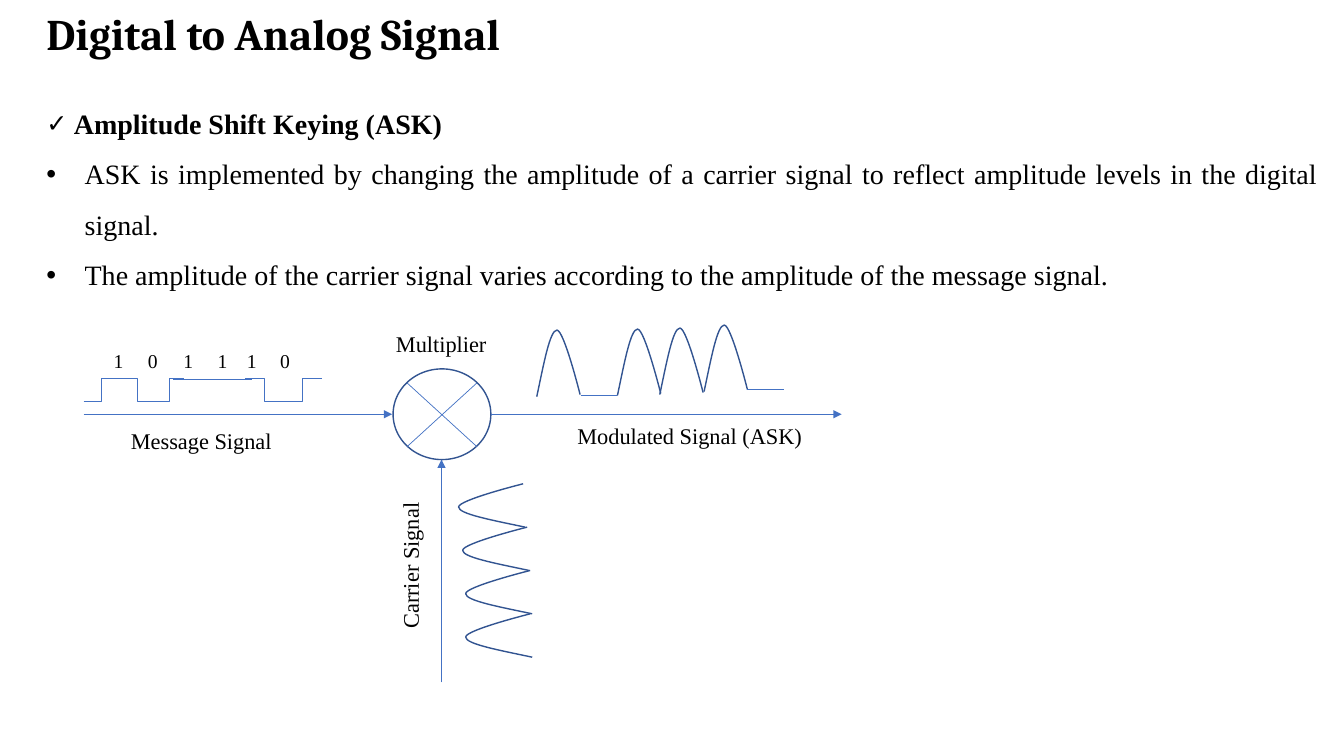
from pptx import Presentation
from pptx.dml.color import RGBColor
from pptx.enum.shapes import MSO_CONNECTOR as CXN, MSO_SHAPE as SHAPE
from pptx.enum.text import MSO_ANCHOR as ANCHOR, MSO_AUTO_SIZE as FIT, PP_ALIGN as ALIGN
from pptx.oxml.ns import qn
from pptx.oxml.xmlchemy import OxmlElement
from pptx.util import Inches, Pt

COLORS = {"text": "000000", "wire": "4472C4", "wave": "325491", "paper": "FFFFFF"}
HUMP_SIZE = (0.66, 0.43)
HUMP = [(0.66, 0.43), (0.33, 0.36), (0, 0.3), (0, 0.23),
        (0, 0.16), (0.64, 0), (0.64, 0)]


class SlideBuilder:
    font = "Times New Roman"
    title_font = "Cambria"

    def __init__(self, prs):
        self.s = prs.slides.add_slide(prs.slide_layouts[1])

    def color(self, name):
        return RGBColor.from_string(COLORS[name])

    def place(self, sp, x, y, w, h):
        sp.left, sp.top, sp.width, sp.height = (Inches(v) for v in (x, y, w, h))

    def run(self, p, text, size, bold=False, font=None):
        r = p.add_run()
        r.text = text
        r.font.size, r.font.bold = Pt(size), bold
        r.font.name = font or self.font
        r.font.color.rgb = self.color("text")

    def outline(self, sp, color, width):
        sp.line.color.rgb = self.color(color)
        sp.line.width = Pt(width)

    def title(self, text, box):
        sp = self.s.shapes.title
        self.place(sp, *box)
        tf = sp.text_frame
        tf.auto_size, tf.vertical_anchor = FIT.NONE, ANCHOR.MIDDLE
        p = tf.paragraphs[0]
        p.alignment, p.line_spacing = ALIGN.LEFT, 0.9
        self.run(p, text, 31.2, True, self.title_font)

    def body(self, items, box):
        sp = self.s.placeholders[1]
        self.place(sp, *box)
        tf = sp.text_frame
        tf.auto_size, tf.vertical_anchor = FIT.NONE, ANCHOR.TOP
        for i, (bullet, indent, runs) in enumerate(items):
            p = tf.add_paragraph() if i else tf.paragraphs[0]
            p.alignment, p.line_spacing = ALIGN.JUSTIFY, 1.5
            p.space_before = Pt(0)
            pPr = p._p.get_or_add_pPr()
            pPr.set("marL", str(Inches(indent)))
            pPr.set("indent", str(-Inches(indent)))
            bu = OxmlElement("a:buChar")
            bu.set("char", bullet)
            pPr.append(bu)
            for text, size, bold in runs:
                self.run(p, text, size, bold)

    def label(self, text, box, size=16, rotation=0):
        sp = self.s.shapes.add_textbox(*(Inches(v) for v in box))
        sp.rotation = rotation
        sp.text_frame.word_wrap = True
        self.run(sp.text_frame.paragraphs[0], text, size)

    def wire(self, start, end, kind=CXN.STRAIGHT, arrow=False):
        c = self.s.shapes.add_connector(kind, *(Inches(v) for v in start + end))
        self.outline(c, "wire", 0.5)
        spPr = c._element.spPr
        if arrow:
            tail = OxmlElement("a:tailEnd")
            tail.set("type", "triangle")
            spPr.find(qn("a:ln")).append(tail)
        spPr.append(OxmlElement("a:effectLst"))

    def ellipse(self, box):
        sp = self.s.shapes.add_shape(SHAPE.OVAL, *(Inches(v) for v in box))
        sp.shadow.inherit = False
        sp.fill.solid()
        sp.fill.fore_color.rgb = self.color("paper")
        self.outline(sp, "wave", 1)

    def hump(self, x, y, rotation=0):
        pts = [(Inches(a), Inches(b)) for a, b in HUMP]
        fb = self.s.shapes.build_freeform(*pts[0])
        fb.add_line_segments(pts[1:], close=False)
        sp = fb.convert_to_shape()
        self.place(sp, x, y, *HUMP_SIZE)
        sp.rotation = rotation
        sp.shadow.inherit = False
        sp.fill.background()
        self.outline(sp, "wave", 1)
        lines = list(sp._element.iter(qn("a:lnTo")))
        outline = lines[0].getparent()
        for i in range(0, len(lines), 3):
            curve = OxmlElement("a:cubicBezTo")
            for line in lines[i:i + 3]:
                curve.append(line[0])
                outline.remove(line)
            outline.append(curve)


def main():
    prs = Presentation()
    prs.slide_width, prs.slide_height = Inches(40 / 3), Inches(7.5)
    b = SlideBuilder(prs)

    b.title("Digital to Analog Signal", (0.36, 0, 12.98, 0.73))
    b.body([
        ("✓", 0, [(" ", 18, True), ("Amplitude Shift Keying (ASK)", 20, True)]),
        ("•", 0.38, [("ASK is implemented by changing the amplitude of a carrier signal "
                      "to reflect amplitude levels in the digital signal.", 20, False)]),
        ("•", 0.38, [("The amplitude of the carrier signal varies according to the "
                      "amplitude of the message signal.", 20, False)]),
    ], (0.36, 0.84, 12.82, 2.06))

    high, low, axis = 3.75, 3.98, 4.11
    b.wire((0.83, axis), (3.89, axis), arrow=True)
    for x1, x2, y1, y2 in [(0.83, 1.18, low, high), (1.18, 1.55, high, low),
                           (1.54, 1.83, low, high), (2.43, 2.82, high, low),
                           (2.81, 3.19, low, high)]:
        b.wire((x1, y1), (x2, y2), CXN.ELBOW)
    for bit, x in zip("101110", (1.03, 1.37, 1.72, 2.06, 2.35, 2.68)):
        b.label(bit, (x, 3.41, 0.3, 0.34), 14)

    b.ellipse((3.9, 3.66, 0.97, 0.9))
    b.wire((4.73, 3.8), (4.04, 4.43))
    b.wire((4.04, 3.8), (4.73, 4.43))
    b.wire((4.38, 6.77), (4.38, 4.56), arrow=True)
    b.label("Carrier Signal", (3.2, 5.28, 1.74, 0.37), rotation=270)
    b.label("Message Signal", (1.2, 4.19, 2.46, 0.37))
    for x, y in [(4.62, 6.09), (4.62, 5.66), (4.59, 5.23), (4.55, 4.8)]:
        b.hump(x, y)

    b.wire((4.87, axis), (8.35, axis), arrow=True)
    b.label("Modulated Signal (ASK)", (5.63, 4.14, 2.46, 0.37))
    b.label("Multiplier", (3.83, 3.23, 1.32, 0.37))
    for x, y in [(5.21, 3.39), (6.01, 3.38), (6.43, 3.37), (6.87, 3.34)]:
        b.hump(x, y, rotation=90)
    b.wire((5.76, 3.92), (6.12, 3.92))
    b.wire((7.41, 3.86), (7.78, 3.86))
    b.wire((2.5, 3.76), (1.72, 3.76))

    prs.save("out.pptx")


if __name__ == "__main__":
    main()
